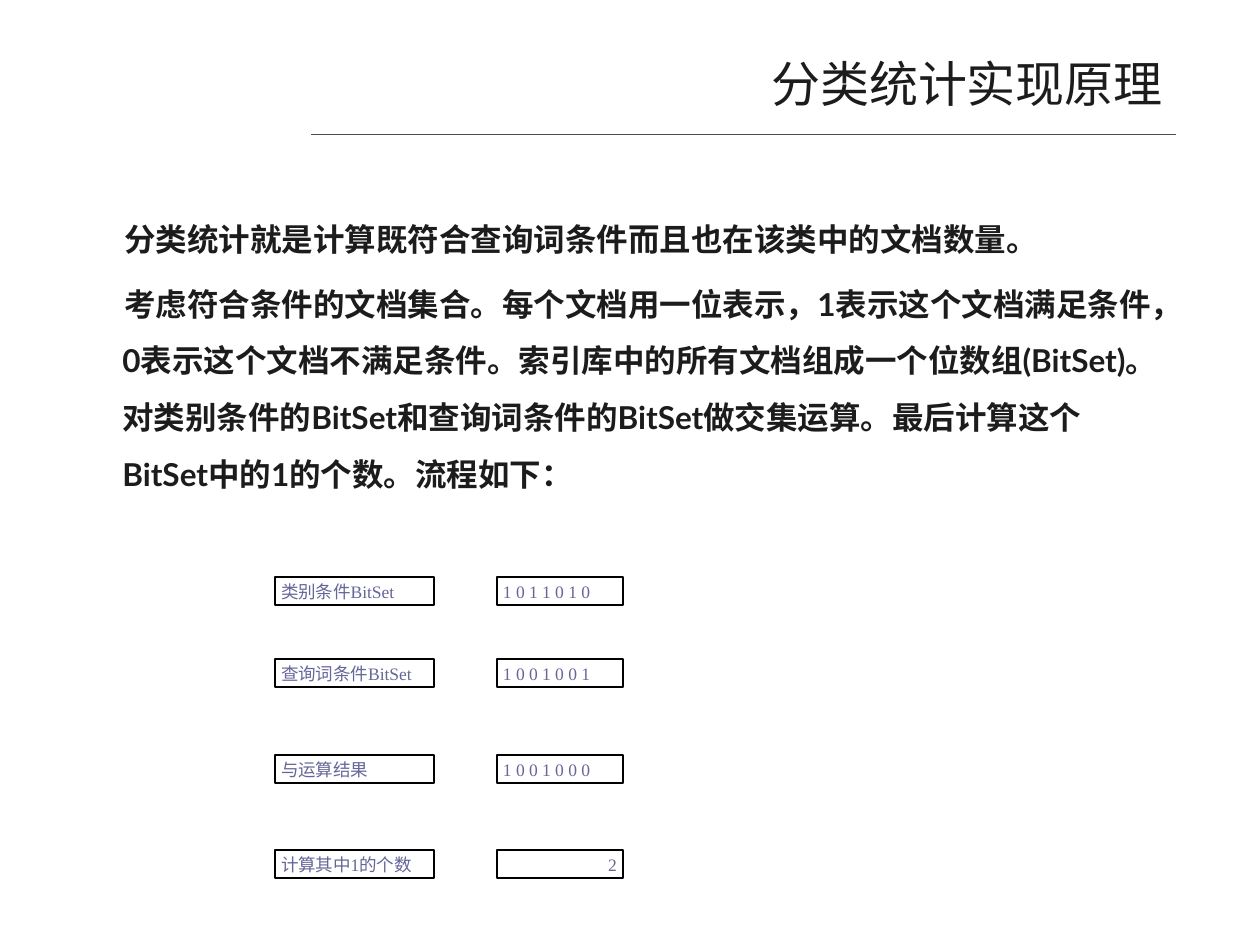
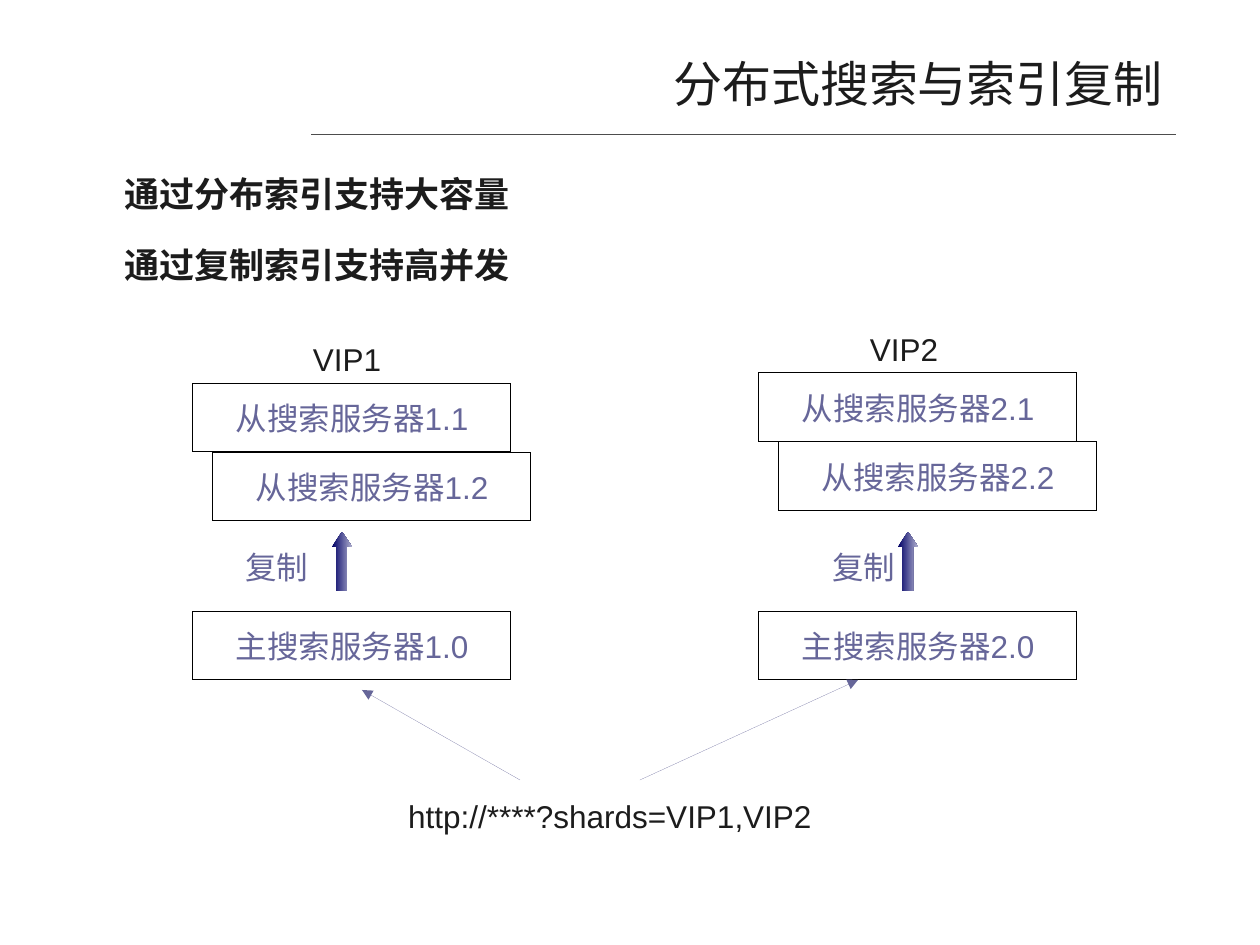
"""Builds two slides on faceted counting and distributed search."""
import pptx
import pptx.dml.color
import pptx.enum.lang
import pptx.enum.shapes
import pptx.enum.text
import pptx.oxml
import pptx.util
import lxml.etree

PX = 914400 / 126
HAIRLINE = 0.01
INK = pptx.dml.color.RGBColor(0x1C, 0x1C, 0x1C)
RULE = pptx.dml.color.RGBColor(0x4D, 0x4D, 0x4D)
SLATE = pptx.dml.color.RGBColor(0x66, 0x66, 0x99)
NAVY = pptx.dml.color.RGBColor(0x00, 0x00, 0x66)
LAVENDER = pptx.dml.color.RGBColor(0xAD, 0xAD, 0xCD)
BLACK = pptx.dml.color.RGBColor(0x00, 0x00, 0x00)
WHITE = pptx.dml.color.RGBColor(0xFF, 0xFF, 0xFF)
ALIGN = pptx.enum.text.PP_ALIGN
ANCHOR = pptx.enum.text.MSO_ANCHOR
SHAPE = pptx.enum.shapes.MSO_SHAPE


def add_text(slide, area, lines, size, font="Arial", color=SLATE, align=ALIGN.CENTER,
             anchor=ANCHOR.TOP, wrap=False, outline=None):
    area = [round(length * PX) for length in area]
    if outline is None:
        shape = slide.shapes.add_textbox(*area)
    else:
        shape = slide.shapes.add_shape(SHAPE.RECTANGLE, *area)
        shape.shadow.inherit = False
        shape.fill.background()
        shape.line.color.rgb = BLACK
        shape.line.width = pptx.util.Pt(outline)
    frame = shape.text_frame
    frame.word_wrap = wrap
    frame.vertical_anchor = anchor
    frame.text = "\n".join(lines)
    for paragraph in frame.paragraphs:
        paragraph.alignment = align
        paragraph.font.size = pptx.util.Pt(size)
        paragraph.font.name = font
        paragraph.font.color.rgb = color
        paragraph.font.language_id = pptx.enum.lang.MSO_LANGUAGE_ID.SIMPLIFIED_CHINESE
    return shape


def add_line(slide, points, color, arrow=False):
    line = slide.shapes.add_connector(
        pptx.enum.shapes.MSO_CONNECTOR.STRAIGHT, *[round(point * PX) for point in points])
    line.line.color.rgb = color
    line.line.width = pptx.util.Pt(HAIRLINE)
    properties = line._element.spPr
    if arrow:
        outline = properties.find(pptx.oxml.ns.qn("a:ln"))
        lxml.etree.SubElement(outline, pptx.oxml.ns.qn("a:tailEnd"), type="triangle")
    lxml.etree.SubElement(properties, pptx.oxml.ns.qn("a:effectLst"))


presentation = pptx.Presentation()
presentation.slide_width = round(1260 * PX)
presentation.slide_height = round(945 * PX)

pages = [
    ("分类统计实现原理", 195, 18, 4.5, [
        "分类统计就是计算既符合查询词条件而且也在该类中的文档数量。",
        "考虑符合条件的文档集合。每个文档用一位表示，1表示这个文档满足条件，"
        "0表示这个文档不满足条件。索引库中的所有文档组成一个位数组(BitSet)。"
        "对类别条件的BitSet和查询词条件的BitSet做交集运算。"
        "最后计算这个BitSet中的1的个数。流程如下："]),
    ("分布式搜索与索引复制", 145, 20, 5,
     ["通过分布索引支持大容量", "通过复制索引支持高并发"]),
]
slides = []
for title, body_top, body_size, gap, body_lines in pages:
    slide = presentation.slides.add_slide(presentation.slide_layouts[6])
    slides.append(slide)
    panel = slide.shapes.add_shape(
        SHAPE.RECTANGLE, *[round(length * PX) for length in (64, 165, 1132, 725)])
    panel.shadow.inherit = False
    panel.fill.solid()
    panel.fill.fore_color.rgb = WHITE
    panel.line.fill.background()
    add_line(slide, (312, 135, 1176, 135), RULE)
    add_text(slide, (86, 44, 1089, 78), [title], 28, "Lato", INK,
             ALIGN.RIGHT, ANCHOR.MIDDLE, wrap=True)
    body = add_text(slide, (63, body_top, 1110, 702), body_lines, body_size, "Lato", INK,
                    ALIGN.LEFT, wrap=True)
    for number, paragraph in enumerate(body.text_frame.paragraphs):
        paragraph.font.bold = True
        paragraph.line_spacing = 1.5
        if number:
            paragraph.space_before = pptx.util.Pt(gap)
        indents = paragraph._p.get_or_add_pPr()
        indents.set("marL", str(round(47 * PX)))
        indents.set("indent", str(round(2 * PX)))

counting_slide, search_slide = slides

steps = [
    (577, "类别条件BitSet", "1 0 1 1 0 1 0", ALIGN.JUSTIFY),
    (659, "查询词条件BitSet", "1 0 0 1 0 0 1", ALIGN.JUSTIFY),
    (755, "与运算结果", "1 0 0 1 0 0 0", ALIGN.JUSTIFY),
    (850, "计算其中1的个数", "2", ALIGN.RIGHT),
]
for top, label, value, value_align in steps:
    for left, width, text, align in ((275, 159, label, ALIGN.JUSTIFY),
                                     (497, 126, value, value_align)):
        box = add_text(counting_slide, (left, top, width, 28), [text], 10,
                       "Times New Roman", SLATE, align, wrap=True, outline=0.75)
        box.fill.solid()
        box.fill.fore_color.rgb = WHITE
        frame = box.text_frame
        frame.margin_left = frame.margin_right = round(6 * PX)
        frame.margin_top = frame.margin_bottom = round(4 * PX)

clusters = [(1, 193, 383, 223, 233), (2, 759, 373, 780, 820)]
for cluster, left, top, name_left, copy_left in clusters:
    add_text(search_slide, (name_left, top - 49, 248, 50), [f"VIP{cluster}"], 18, color=INK)
    servers = [(left, top, f"从搜索服务器{cluster}.1"),
               (left + 20, top + 69, f"从搜索服务器{cluster}.2"),
               (left, 611, f"主搜索服务器{cluster}.0")]
    for server_left, server_top, name in servers:
        add_text(search_slide, (server_left, server_top, 318, 69), [name], 18,
                 anchor=ANCHOR.MIDDLE, outline=HAIRLINE)
    add_text(search_slide, (copy_left, 542, 88, 50), ["复制"], 18)
    arrow = search_slide.shapes.add_shape(
        SHAPE.UP_ARROW, *[round(length * PX) for length in (left + 139, 532, 20, 59)])
    arrow.shadow.inherit = False
    arrow.adjustments[1] = 0.75
    arrow.line.fill.background()
    arrow.fill.gradient()
    arrow.fill.gradient_angle = 0
    for stop, color in zip(arrow.fill.gradient_stops, (NAVY, LAVENDER)):
        stop.color.rgb = color

for points in ((520, 780, 362, 690), (640, 780, 858, 680)):
    add_line(search_slide, points, SLATE, arrow=True)
add_text(search_slide, (382, 791, 456, 50), ["http://****?shards=VIP1,VIP2"], 18, color=INK)

presentation.save("out.pptx")
